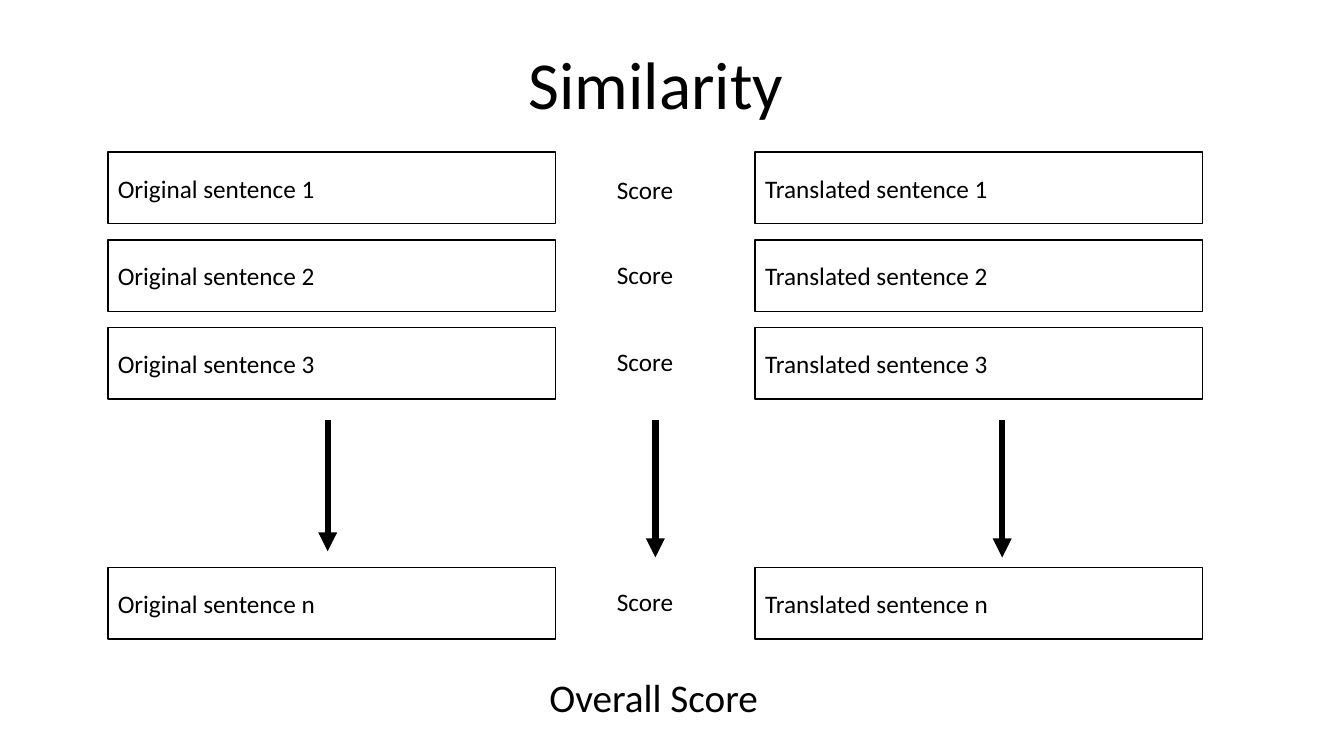
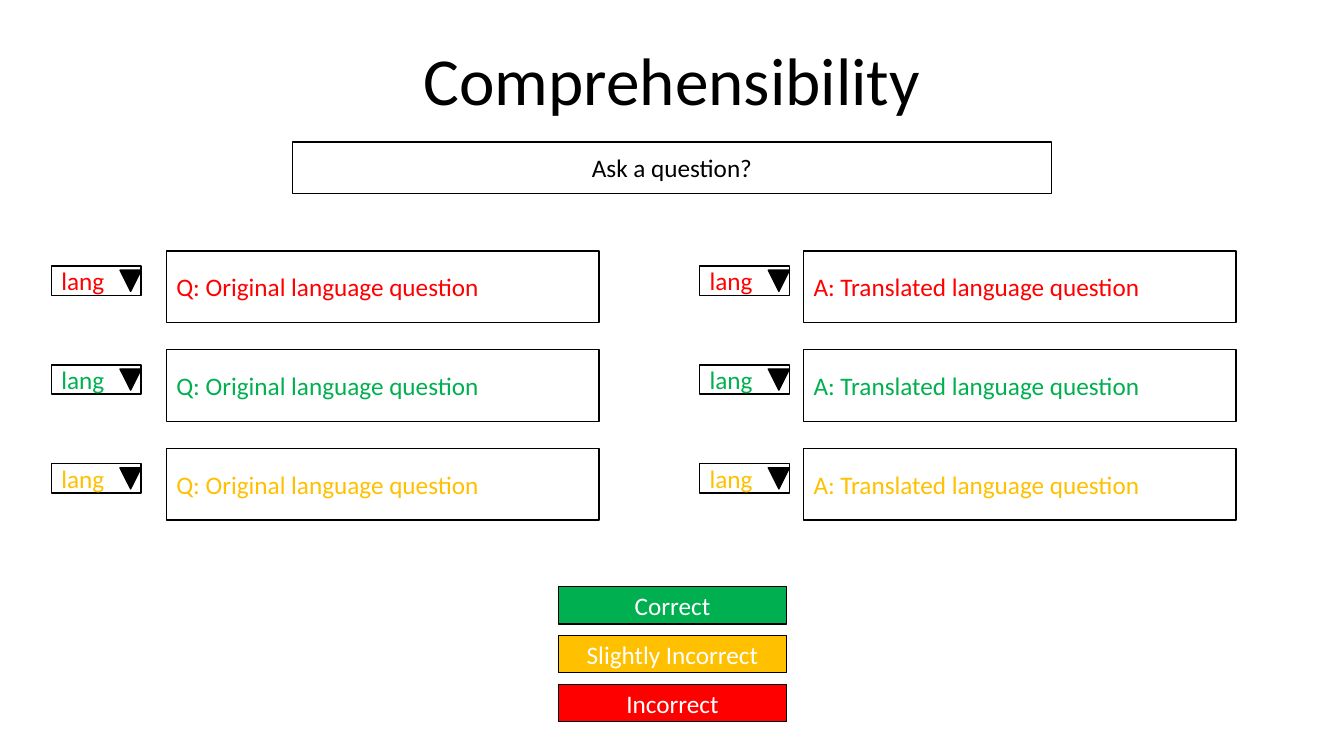
from dataclasses import dataclass

from lxml.etree import SubElement
from pptx import Presentation
from pptx.dml.color import RGBColor
from pptx.enum.shapes import MSO_CONNECTOR, MSO_SHAPE
from pptx.enum.text import MSO_ANCHOR as Anchor
from pptx.enum.text import MSO_AUTO_SIZE as AutoSize
from pptx.enum.text import PP_ALIGN as Align
from pptx.oxml.ns import qn
from pptx.shapes.autoshape import Shape
from pptx.slide import Slide
from pptx.util import Inches, Pt

FONT = "Calibri"
BLACK, WHITE = "000000", "FFFFFF"
RED, GREEN, AMBER = "FF0000", "00B050", "FFC000"
TITLE_SIZE, OVERALL_SIZE, BODY_SIZE = 48, 28, 18
TITLE_HEIGHT = 0.91
BOX_HEIGHT = 0.71
TITLE_ONLY = 5


@dataclass(frozen=True)
class Area:
    """A rectangle on the slide, in inches."""
    left: float
    top: float
    width: float
    height: float

    def lengths(self) -> tuple[int, int, int, int]:
        """Return left, top, width and height as slide lengths."""
        return (Inches(self.left), Inches(self.top),
                Inches(self.width), Inches(self.height))


@dataclass(frozen=True)
class SentenceRow:
    """One sentence pair and its score."""
    number: str
    top: float
    score_top: float


@dataclass(frozen=True)
class Progress:
    """A downward arrow under a column."""
    x: float
    bottom: float


@dataclass(frozen=True)
class ExchangeSide:
    """The language picker and sentence box of one side."""
    text: str
    picker_left: float
    box_left: float


@dataclass(frozen=True)
class Rating:
    """A legend entry."""
    label: str
    color: str


def rgb(color: str) -> RGBColor:
    """Turn a hex string into a colour."""
    return RGBColor.from_string(color)


def write(shape: Shape, text: str, size: int, color: str, align: Align) -> None:
    """Put one formatted paragraph into a shape."""
    paragraph = shape.text_frame.paragraphs[0]
    paragraph.text = text
    paragraph.alignment = align
    paragraph.font.name = FONT
    paragraph.font.size = Pt(size)
    paragraph.font.color.rgb = rgb(color)


def add_titled_slide(deck: Presentation, title: str, area: Area) -> Slide:
    """Add a slide with its title placed in the given area."""
    slide = deck.slides.add_slide(deck.slide_layouts[TITLE_ONLY])
    heading = slide.shapes.title
    heading.left, heading.top, heading.width, heading.height = area.lengths()
    heading.text_frame.vertical_anchor = Anchor.TOP
    heading.text_frame.auto_size = AutoSize.NONE
    write(heading, title, TITLE_SIZE, BLACK, Align.CENTER)
    return slide


def add_outlined(slide: Slide, kind: MSO_SHAPE, area: Area, fill: str) -> Shape:
    """Add a filled shape with a thin black outline."""
    shape = slide.shapes.add_shape(kind, *area.lengths())
    shape.shadow.inherit = False
    shape.fill.solid()
    shape.fill.fore_color.rgb = rgb(fill)
    shape.line.color.rgb = rgb(BLACK)
    shape.line.width = Pt(1)
    return shape


def add_box(slide: Slide, area: Area, text: str, color: str = BLACK,
            fill: str = WHITE, align: Align = Align.LEFT) -> None:
    """Add an outlined rectangle with text."""
    box = add_outlined(slide, MSO_SHAPE.RECTANGLE, area, fill)
    box.text_frame.vertical_anchor = Anchor.MIDDLE
    write(box, text, BODY_SIZE, color, align)


def add_label(slide: Slide, area: Area, text: str, size: int) -> None:
    """Add an unwrapped text label."""
    label = slide.shapes.add_textbox(*area.lengths())
    label.text_frame.word_wrap = False
    label.text_frame.auto_size = AutoSize.SHAPE_TO_FIT_TEXT
    write(label, text, size, BLACK, Align.LEFT)


def add_down_arrow(slide: Slide, progress: Progress, top: float) -> None:
    """Add a thick vertical arrow."""
    x = Inches(progress.x)
    arrow = slide.shapes.add_connector(
        MSO_CONNECTOR.STRAIGHT, x, Inches(top), x, Inches(progress.bottom))
    arrow.line.color.rgb = rgb(BLACK)
    arrow.line.width = Pt(4.5)
    SubElement(arrow.line._get_or_add_ln(), qn("a:tailEnd"), type="triangle")
    SubElement(arrow._element.spPr, qn("a:effectLst"))


def add_picker(slide: Slide, left: float, top: float, color: str) -> None:
    """Add a language drop-down with its triangle at the right edge."""
    width, marker = 0.89, 0.21
    add_box(slide, Area(left, top, width, 0.29), "lang", color)
    triangle = add_outlined(
        slide, MSO_SHAPE.ISOSCELES_TRIANGLE,
        Area(left + width - marker, top + 0.04, marker, marker), BLACK)
    triangle.rotation = 180


def build_similarity(deck: Presentation) -> None:
    """Build the sentence-by-sentence scoring slide."""
    slide = add_titled_slide(deck, "Similarity", Area(4.73, 0.37, 3.55, TITLE_HEIGHT))
    columns = {"Original": 1.07, "Translated": 7.49}
    rows = [SentenceRow("1", 1.51, 1.68), SentenceRow("2", 2.38, 2.52),
            SentenceRow("3", 3.25, 3.39), SentenceRow("n", 5.63, 5.77)]
    for row in rows:
        for version, left in columns.items():
            add_box(slide, Area(left, row.top, 4.44, BOX_HEIGHT),
                    f"{version} sentence {row.number}")
        add_label(slide, Area(6.02, row.score_top, 0.77, 0.4), "Score", BODY_SIZE)
    for progress in (Progress(3.25, 5.47), Progress(6.5, 5.53), Progress(9.94, 5.53)):
        add_down_arrow(slide, progress, 4.17)
    add_label(slide, Area(5.35, 6.63, 2.29, 0.57), "Overall Score", OVERALL_SIZE)


def build_comprehensibility(deck: Presentation) -> None:
    """Build the question slide with its colour-coded ratings."""
    slide = add_titled_slide(
        deck, "Comprehensibility", Area(3.94, 0.33, 5.45, TITLE_HEIGHT))
    add_box(slide, Area(2.9, 1.41, 7.53, 0.51), "Ask a question?", align=Align.CENTER)
    sides = [ExchangeSide("Q: Original language question", 0.51, 1.65),
             ExchangeSide("A: Translated language question", 6.94, 7.97)]
    for index, color in enumerate((RED, GREEN, AMBER)):
        top = 2.49 + 0.98 * index
        for side in sides:
            add_box(slide, Area(side.box_left, top, 4.29, BOX_HEIGHT), side.text, color)
            add_picker(slide, side.picker_left, top + 0.15, color)
    ratings = [Rating("Correct", GREEN), Rating("Slightly Incorrect", AMBER),
               Rating("Incorrect", RED)]
    for index, rating in enumerate(ratings):
        add_box(slide, Area(5.54, 5.82 + 0.485 * index, 2.26, 0.37), rating.label,
                WHITE, rating.color, Align.CENTER)


def main() -> None:
    """Build and save the presentation."""
    deck = Presentation()
    deck.slide_width, deck.slide_height = Inches(13.33), Inches(7.5)
    build_similarity(deck)
    build_comprehensibility(deck)
    deck.save("out.pptx")


main()
